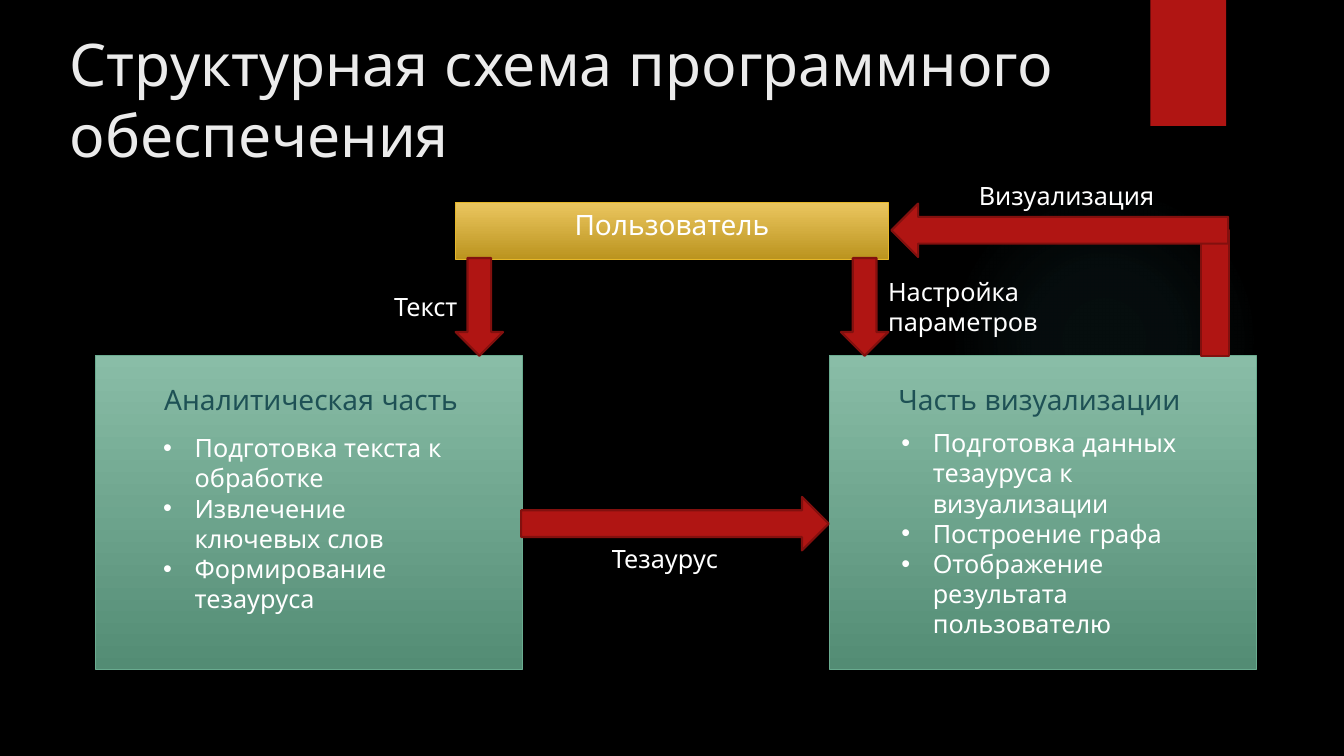
"""Build a slide showing how the parts of the software exchange data."""
from typing import NamedTuple

from lxml import etree
from pptx import Presentation
from pptx.dml.color import RGBColor
from pptx.enum.shapes import MSO_SHAPE as Kind
from pptx.enum.text import MSO_ANCHOR as Anchor, PP_ALIGN as Align
from pptx.oxml import parse_xml
from pptx.oxml.ns import nsdecls, qn
from pptx.util import Emu, Inches, Pt

FONT = "Quicksand"
BLACK, WHITE, TITLE, TEAL = "000000", "FFFFFF", "EBEBEB", "1E5155"
RED, DARK_RED, GLOW = "B01513", "82100E", "50B9C1"


class Box(NamedTuple):
    """Left, top, width and height as percentages of the slide."""
    x: float
    y: float
    w: float
    h: float


class Block(NamedTuple):
    box: Box
    top: str
    bottom: str
    line: str


class Arrow(NamedTuple):
    kind: Kind
    box: Box


class Label(NamedTuple):
    box: Box
    lines: list[str]
    size: int = 18
    color: str = WHITE
    bullets: bool = False


USER = Block(Box(33.9, 26.8, 32.2, 7.47), "EBC65F", "BB941F", "E6B729")
PANELS = [Block(Box(x, 47.07, 31.73, 41.47), "89BDA7", "538C74", "6AAC90")
          for x in (7.13, 61.74)]
ARROWS = [
    Arrow(Kind.DOWN_ARROW, Box(33.9, 34.13, 3.53, 12.93)),
    Arrow(Kind.DOWN_ARROW, Box(62.57, 34.13, 3.53, 12.93)),
    Arrow(Kind.RIGHT_ARROW, Box(38.78, 65.73, 22.88, 7.07)),
    Arrow(Kind.RECTANGLE, Box(89.35, 30.4, 2.1, 16.67)),
    Arrow(Kind.LEFT_ARROW, Box(66.32, 26.93, 25.06, 7.07)),
]
LABELS = [
    Label(Box(4.43, 3.07, 77.2, 20.4),
          ["Структурная схема программного обеспечения"], 42, TITLE),
    Label(Box(11.48, 50, 26.33, 5.87), ["Аналитическая часть"], 20, TEAL),
    Label(Box(66.1, 50, 22.5, 5.87), ["Часть визуализации"], 20, TEAL),
    Label(Box(11.4, 56.53, 23.1, 25.6),
          ["Подготовка текста к обработке", "Извлечение ключевых слов",
           "Формирование тезауруса"], bullets=True),
    Label(Box(66.32, 55.87, 25.06, 29.6),
          ["Подготовка данных тезауруса к визуализации", "Построение графа",
           "Отображение результата пользователю"], bullets=True),
    Label(Box(28.58, 37.87, 22.5, 5.33), ["Текст"]),
    Label(Box(65.34, 35.87, 22.5, 9.47), ["Настройка параметров"]),
    Label(Box(44.79, 71.2, 22.5, 5.33), ["Тезаурус"]),
    Label(Box(72.09, 23.2, 22.5, 5.33), ["Визуализация"]),
]

prs = Presentation()
prs.slide_width, prs.slide_height = Inches(13.33), Inches(7.5)
s = prs.slides.add_slide(prs.slide_layouts[6])


def rgb(color: str) -> RGBColor:
    return RGBColor.from_string(color)


def place(box: Box) -> list[Emu]:
    sides = (prs.slide_width, prs.slide_height) * 2
    return [Emu(round(side * share / 100)) for side, share in zip(sides, box)]


def add_flat(kind: Kind, box: Box, fill: str = RED, line: str = "",
             width: float = 1.5):
    sp = s.shapes.add_shape(kind, *place(box))
    sp.shadow.inherit = False
    sp.fill.solid()
    sp.fill.fore_color.rgb = rgb(fill)
    if line:
        sp.line.color.rgb, sp.line.width = rgb(line), Pt(width)
    else:
        sp.line.fill.background()
    return sp


def add_shadow(sp) -> None:
    effects = sp._element.spPr.find(qn("a:effectLst"))
    effects.append(parse_xml(
        f'<a:outerShdw {nsdecls("a")} blurRad="38100" dist="25400" dir="5400000"'
        ' rotWithShape="0"><a:srgbClr val="000000"><a:alpha val="45000"/>'
        '</a:srgbClr></a:outerShdw>'))


def add_block(block: Block):
    sp = add_flat(Kind.RECTANGLE, block.box, block.top, block.line, 0.75)
    sp.fill.gradient()
    sp.fill.gradient_angle = 270
    for stop, color in zip(sp.fill.gradient_stops, (block.top, block.bottom)):
        stop.color.rgb = rgb(color)
    add_shadow(sp)
    return sp


def add_glow(box: Box) -> None:
    sp = add_flat(Kind.OVAL, box, GLOW)
    stops = "".join(
        f'<a:gs pos="{pos}000"><a:srgbClr val="{GLOW}"><a:alpha val="{alpha}000"/>'
        '</a:srgbClr></a:gs>' for pos, alpha in ((0, 7), (36, 6), (69, 0)))
    solid = sp._element.spPr.find(qn("a:solidFill"))
    solid.getparent().replace(solid, parse_xml(
        f'<a:gradFill {nsdecls("a")}><a:gsLst>{stops}</a:gsLst><a:path path="circle">'
        '<a:fillToRect l="50000" t="50000" r="50000" b="50000"/></a:path></a:gradFill>'))


def write(tf, lines: list[str], size: int, color: str, bullets: bool = False) -> None:
    tf.word_wrap = True
    tf.vertical_anchor = Anchor.TOP
    tf.text = "\n".join(lines)
    for p in tf.paragraphs:
        p.font.name, p.font.size, p.font.color.rgb = FONT, Pt(size), rgb(color)
        if bullets:
            pPr = p._p.get_or_add_pPr()
            pPr.set("marL", "285750")
            pPr.set("indent", "-285750")
            bullet = etree.Element(qn("a:buChar"), char="•")
            pPr.insert(0, bullet)
            bullet.addprevious(etree.Element(qn("a:buFont"), typeface="Arial"))


def add_label(label: Label) -> None:
    sp = s.shapes.add_textbox(*place(label.box))
    write(sp.text_frame, label.lines, label.size, label.color, label.bullets)


s.background.fill.solid()
s.background.fill.fore_color.rgb = rgb(BLACK)
add_glow(Box(70.57, 24.4, 23.1, 41.07))
add_shadow(add_flat(Kind.RECTANGLE, Box(85.6, 0, 5.63, 16.67)))
user = add_block(USER)
write(user.text_frame, ["Пользователь"], 20, WHITE)
user.text_frame.paragraphs[0].alignment = Align.CENTER
for panel in PANELS:
    add_block(panel)
for arrow in ARROWS:
    add_flat(arrow.kind, arrow.box, RED, DARK_RED)
for label in LABELS:
    add_label(label)
prs.save("out.pptx")
